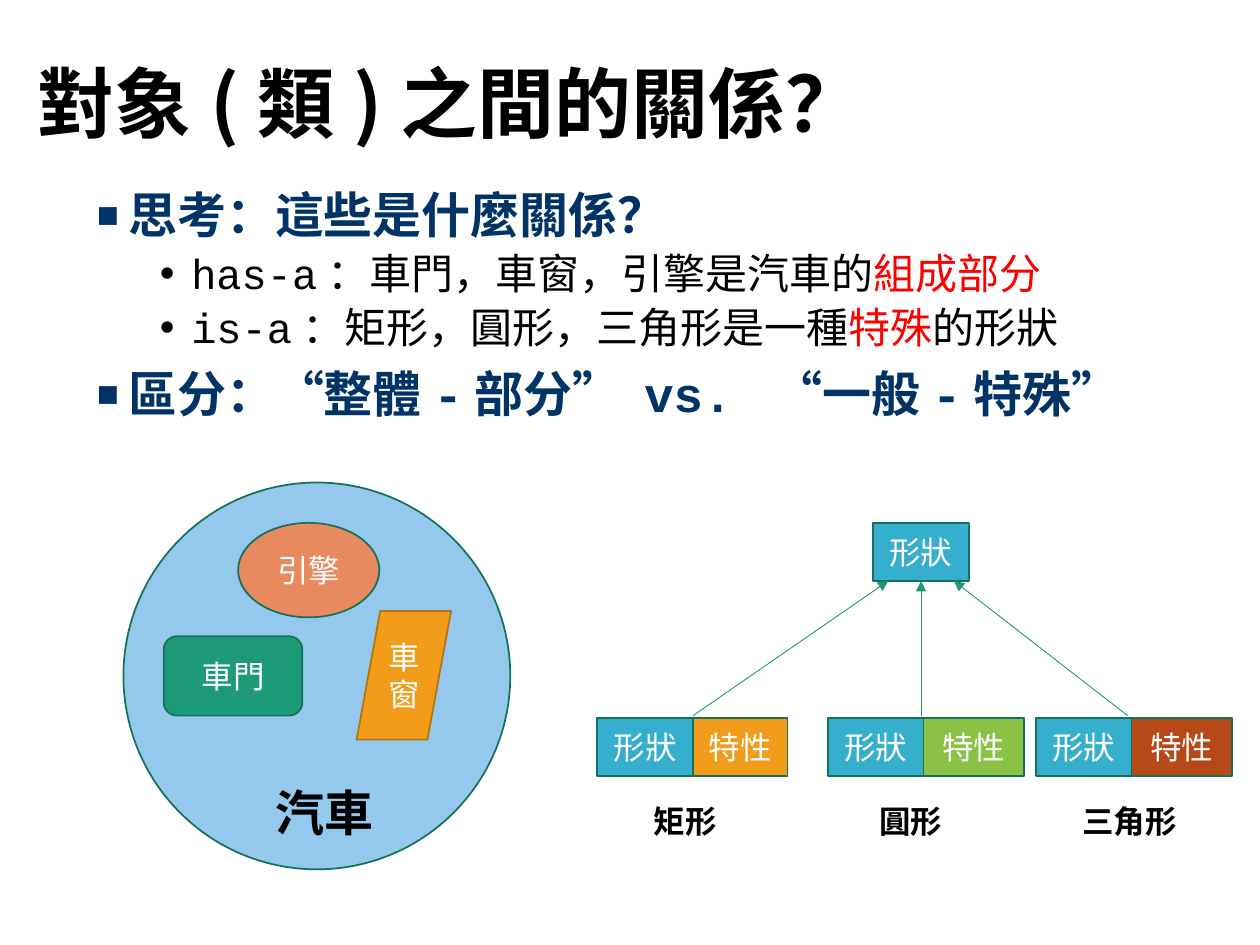
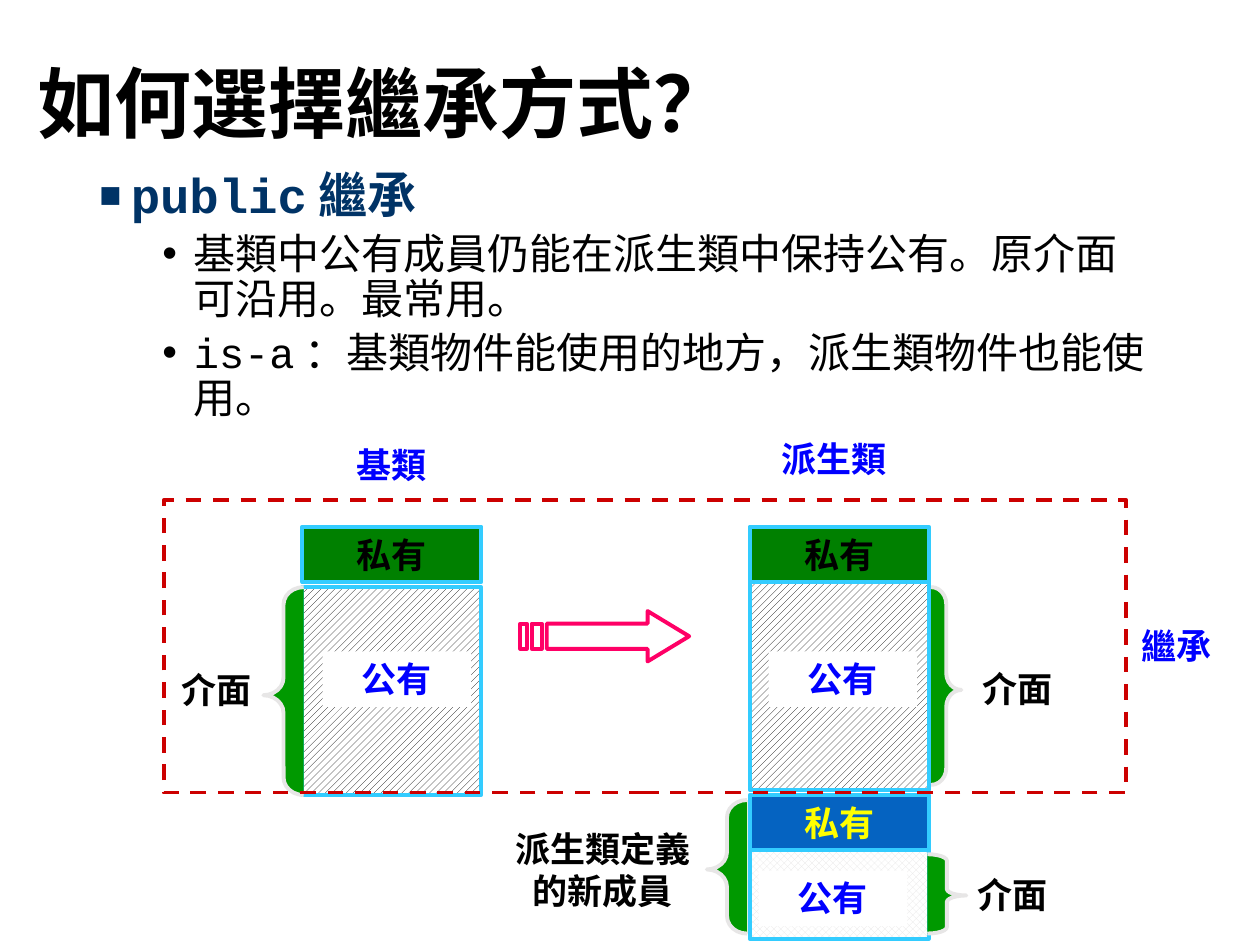
from lxml.etree import SubElement
from pptx import Presentation
from pptx.dml.color import RGBColor
from pptx.enum.dml import MSO_LINE, MSO_PATTERN
from pptx.enum.shapes import MSO_CONNECTOR, MSO_SHAPE
from pptx.enum.text import MSO_ANCHOR, PP_ALIGN
from pptx.oxml.ns import qn
from pptx.util import Inches, Pt

BLACK = RGBColor(0, 0, 0)
WHITE = RGBColor(255, 255, 255)
NAVY = RGBColor(0x00, 0x33, 0x66)
RED = RGBColor(0xFF, 0x00, 0x00)
BLUE = RGBColor(0x00, 0x00, 0xFF)
YELLOW = RGBColor(0xFF, 0xFF, 0x00)
PINE = RGBColor(0x15, 0x72, 0x59)
TEAL = RGBColor(0x1D, 0x9A, 0x78)
SKY = RGBColor(0x94, 0xC8, 0xED)
AQUA = RGBColor(0x36, 0xAF, 0xCE)
CORAL = RGBColor(0xE9, 0x89, 0x60)
ORANGE = RGBColor(0xF1, 0x9D, 0x19)
BRONZE = RGBColor(0xB2, 0x74, 0x12)
LIME = RGBColor(0x8B, 0xC1, 0x45)
RUST = RGBColor(0xB7, 0x49, 0x19)
CYAN = RGBColor(0x33, 0xCC, 0xFF)
GREEN = RGBColor(0x00, 0x80, 0x00)
LEAF = RGBColor(0x00, 0x99, 0x00)
GRAY = RGBColor(0xE7, 0xE6, 0xE6)
OCEAN = RGBColor(0x05, 0x63, 0xC1)
PINK = RGBColor(0xFF, 0x00, 0x66)
CRIMSON = RGBColor(0xCC, 0x00, 0x00)
HAN, SANS, PLAIN, MONO = "Noto Sans CJK SC", "Arial", "Calibri", "Courier New"

# Titles and body text: (level, [(text, colour), ...])
LINKS = "對象(類)之間的關係？"
LINK_TEXT = [
    (0, [("思考：這些是什麼關係？", NAVY)]),
    (1, [("has-a：車門，車窗，引擎是汽車的", BLACK), ("組成部分", RED)]),
    (1, [("is-a：矩形，圓形，三角形是一種", BLACK), ("特殊", RED), ("的形狀", BLACK)]),
    (0, [("區分：“整體-部分” vs. “一般-特殊”", NAVY)]),
]
MODES = "如何選擇繼承方式？"
MODE_TEXT = [
    (0, [("public繼承", NAVY)]),
    (1, [("基類中公有成員仍能在派生類中保持公有。原介面可沿用。最常用。", BLACK)]),
    (1, [("is-a：基類物件能使用的地方，派生類物件也能使用。", BLACK)]),
]

# Car parts: kind, box, fill, line, text
CAR = [
    (MSO_SHAPE.OVAL, (0.98, 3.83, 3.07, 3.07), SKY, PINE, ""),
    (MSO_SHAPE.ROUNDED_RECTANGLE, (1.3, 5.05, 1.1, 0.63), TEAL, PINE, "車門"),
    (MSO_SHAPE.PARALLELOGRAM, (2.83, 4.85, 0.75, 1.02), ORANGE, BRONZE, "車窗"),
    (MSO_SHAPE.OVAL, (1.89, 4.15, 1.12, 0.75), CORAL, PINE, "引擎"),
]
# Kinds of shape: name, left, trait width, trait fill, label left and width, arrow ends
KINDS = [
    ("矩形", 4.74, 0.75, ORANGE, 5.09, 0.79, 5.5, 7.05),
    ("圓形", 6.57, 0.8, LIME, 6.88, 0.79, 7.31, 7.31),
    ("三角形", 8.22, 0.8, RUST, 8.49, 0.98, 8.95, 7.57),
]
UNIT, HIGH, ROOT, ROW = 0.76, 0.46, 4.15, 5.7

# Class diagram
WIDE, BAR = 1.42, 0.44
BASE, HEIR = 2.4, 5.95
HATCH, DIAMOND = MSO_PATTERN.WIDE_UPWARD_DIAGONAL, MSO_PATTERN.SOLID_DIAMOND
AREAS = [  # left, top, height, pattern, ink
    (BASE, 4.66, 1.65, HATCH, BLACK),
    (HEIR, 4.62, 1.65, HATCH, BLACK),
    (HEIR, 6.74, 0.71, DIAMOND, GRAY),
]
BARS = [  # left, top, fill, text colour
    (BASE, 4.18, GREEN, BLACK),
    (HEIR, 4.18, GREEN, BLACK),
    (HEIR, 6.31, OCEAN, YELLOW),
]
PATCHES = [(2.56, 5.17), (6.1, 5.17), (6.02, 6.91)]
BRACES = [  # kind, box, curl
    (MSO_SHAPE.LEFT_BRACE, (2.09, 4.66, 0.32, 1.65), 0.436),
    (MSO_SHAPE.RIGHT_BRACE, (7.39, 4.66, 0.24, 1.57), 0.556),
    (MSO_SHAPE.RIGHT_BRACE, (7.36, 6.78, 0.31, 0.63), 0.167),
    (MSO_SHAPE.LEFT_BRACE, (5.61, 6.35, 0.32, 1.06), 0.434),
]
LABELS = [  # text, box, font, colour
    ("基類", (2.24, 3.47, 1.73, BAR), SANS, BLUE),
    ("派生類", (5.52, 3.42, 2.2, BAR), SANS, BLUE),
    ("派生類定義的新成員", (3.88, 6.52, 1.81, 0.77), MONO, BLACK),
    ("介面", (1.3, 5.26, 0.84, BAR), SANS, BLACK),
    ("介面", (7.6, 6.88, 0.87, BAR), MONO, BLACK),
    ("介面", (7.68, 5.25, 0.79, BAR), MONO, BLACK),
    ("繼承", (8.96, 4.91, 0.76, BAR), MONO, BLUE),
]
FRAME = (1.3, 3.97, 7.64, 2.32)
ARROW = [
    [(5.14, 4.85), (5.14, 4.95), (4.34, 4.95), (4.34, 5.15),
     (5.14, 5.15), (5.14, 5.25), (5.47, 5.05)],
    [(4.22, 4.95), (4.22, 5.15), (4.3, 5.15), (4.3, 4.95)],
    [(4.13, 4.95), (4.13, 5.15), (4.18, 5.15), (4.18, 4.95)],
]


def style(para, size, face, bold=False, color=None):
    font = para.font
    font.size, font.name, font.bold = Pt(size), face, bold
    if color is not None:
        font.color.rgb = color
    latin = font._element.find(qn("a:latin"))
    east = latin.makeelement(qn("a:ea"), {"typeface": HAN})
    latin.addnext(east)


def write(shape, text, size, face, color, bold=False,
          align=PP_ALIGN.CENTER, anchor=MSO_ANCHOR.MIDDLE):
    frame = shape.text_frame
    frame.word_wrap = True
    frame.vertical_anchor = anchor
    para = frame.paragraphs[0]
    para.alignment = align
    para.add_run().text = text
    style(para, size, face, bold, color)
    return frame


def label(slide, text, box, size, face, color=BLACK, align=PP_ALIGN.LEFT,
          anchor=MSO_ANCHOR.TOP):
    area = slide.shapes.add_textbox(*map(Inches, box))
    return write(area, text, size, face, color, True, align, anchor)


def edge(shape, color, width):
    shape.shadow.inherit = False
    if color is None:
        shape.line.fill.background()
    else:
        shape.line.color.rgb = color
        shape.line.width = Pt(width)


def block(slide, kind, box, fill=None, line=None, width=1):
    shape = slide.shapes.add_shape(kind, *map(Inches, box))
    if fill is None:
        shape.fill.background()
    else:
        shape.fill.solid()
        shape.fill.fore_color.rgb = fill
    edge(shape, line, width)
    return shape


def arrow(slide, start, end):
    line = slide.shapes.add_connector(
        MSO_CONNECTOR.STRAIGHT, *map(Inches, start + end))
    line.line.color.rgb = TEAL
    line.line.width = Pt(0.5)
    SubElement(line.line._get_or_add_ln(), qn("a:tailEnd"), type="triangle")
    SubElement(line._element.spPr, qn("a:effectLst"))


def bullet(para, level):
    para.level = level
    props = para._p.get_or_add_pPr()
    props.set("marL", str(Inches(0.75 if level else 0.25)))
    props.set("indent", str(Inches(-0.25)))
    if not level:
        SubElement(props, qn("a:buSzPct"), val="75000")
    SubElement(props, qn("a:buFont"), typeface=SANS)
    SubElement(props, qn("a:buChar"), char="•" if level else "■")


def start(deck, title, box, items):
    slide = deck.slides.add_slide(deck.slide_layouts[6])
    head = label(slide, title, (0.2, 0.13, 8.62, 1.45), 44, HAN,
                 anchor=MSO_ANCHOR.MIDDLE)
    head.paragraphs[0].line_spacing = 0.9
    frame = slide.shapes.add_textbox(*map(Inches, box)).text_frame
    frame.word_wrap = True
    for num, (level, runs) in enumerate(items):
        para = frame.add_paragraph() if num else frame.paragraphs[0]
        bullet(para, level)
        para.line_spacing = 0.9
        if num:
            para.space_before = Pt(5 if level else 10)
        same = runs[0][1] if len(runs) == 1 else None
        style(para, 24 if level else 28, MONO, not level, same)
        for text, color in runs:
            run = para.add_run()
            run.text = text
            if same is None:
                run.font.color.rgb = color
    return slide


def relate(deck):
    slide = start(deck, LINKS, (0.67, 1.47, 8.8, 5.67), LINK_TEXT)

    # Car and its parts
    for kind, box, fill, line, text in CAR:
        shape = block(slide, kind, box, fill, line)
        if text:
            write(shape, text, 18, PLAIN, WHITE)
    label(slide, "汽車", (2.09, 6.16, 1.5, 0.57), 28, PLAIN)

    # Shape tree
    def cell(text, left, top, width, fill):
        box = block(slide, MSO_SHAPE.RECTANGLE, (left, top, width, HIGH), fill, PINE)
        write(box, text, 18, PLAIN, WHITE)

    cell("形狀", 6.93, ROOT, UNIT, AQUA)
    for name, left, width, fill, tag, span, foot, tip in KINDS:
        cell("特性", left + UNIT, ROW, width, fill)
        cell("形狀", left, ROW, UNIT, AQUA)
        label(slide, name, (tag, 6.32, span, 0.4), 18, PLAIN)
        arrow(slide, (foot, ROW - 0.02), (tip, ROOT + HIGH))


def inherit(deck):
    slide = start(deck, MODES, (0.69, 1.31, 8.56, 5.98), MODE_TEXT)
    rect = MSO_SHAPE.RECTANGLE

    # Members of both classes
    for left, top, high, pattern, ink in AREAS:
        area = block(slide, rect, (left, top, WIDE, high), WHITE, CYAN, 2.25)
        area.fill.patterned()
        area.fill.pattern = pattern
        area.fill.fore_color.rgb = ink
        area.fill.back_color.rgb = WHITE
    for left, top, fill, color in BARS:
        bar = block(slide, rect, (left, top, WIDE, BAR), fill, CYAN, 2.25)
        write(bar, "私有", 20, SANS, color, True)

    # Striped arrow
    path = None
    for points in ARROW:
        spots = [(Inches(x), Inches(y)) for x, y in points]
        if path is None:
            path = slide.shapes.build_freeform(*spots[0])
        else:
            path.move_to(*spots[0])
        path.add_line_segments(spots[1:], close=True)
    sign = path.convert_to_shape()
    sign.fill.background()
    edge(sign, PINK, 2.25)

    # Braces, frame and labels
    for kind, box, curl in BRACES:
        brace = block(slide, kind, box, LEAF, GRAY, 2.25)
        brace.adjustments[0] = curl
        brace.adjustments[1] = 0.52
    frame = block(slide, rect, FRAME, None, CRIMSON, 2.25)
    frame.line.dash_style = MSO_LINE.DASH
    for left, top in PATCHES:
        patch = block(slide, rect, (left, top, 1.18, BAR), WHITE)
        write(patch, "公有", 20, SANS, BLUE, True, anchor=MSO_ANCHOR.TOP)
    for text, box, face, color in LABELS:
        label(slide, text, box, 20, face, color, PP_ALIGN.CENTER)


def main():
    deck = Presentation()
    deck.slide_width, deck.slide_height = Inches(10), Inches(7.5)
    relate(deck)
    inherit(deck)
    deck.save("out.pptx")


if __name__ == "__main__":
    main()
